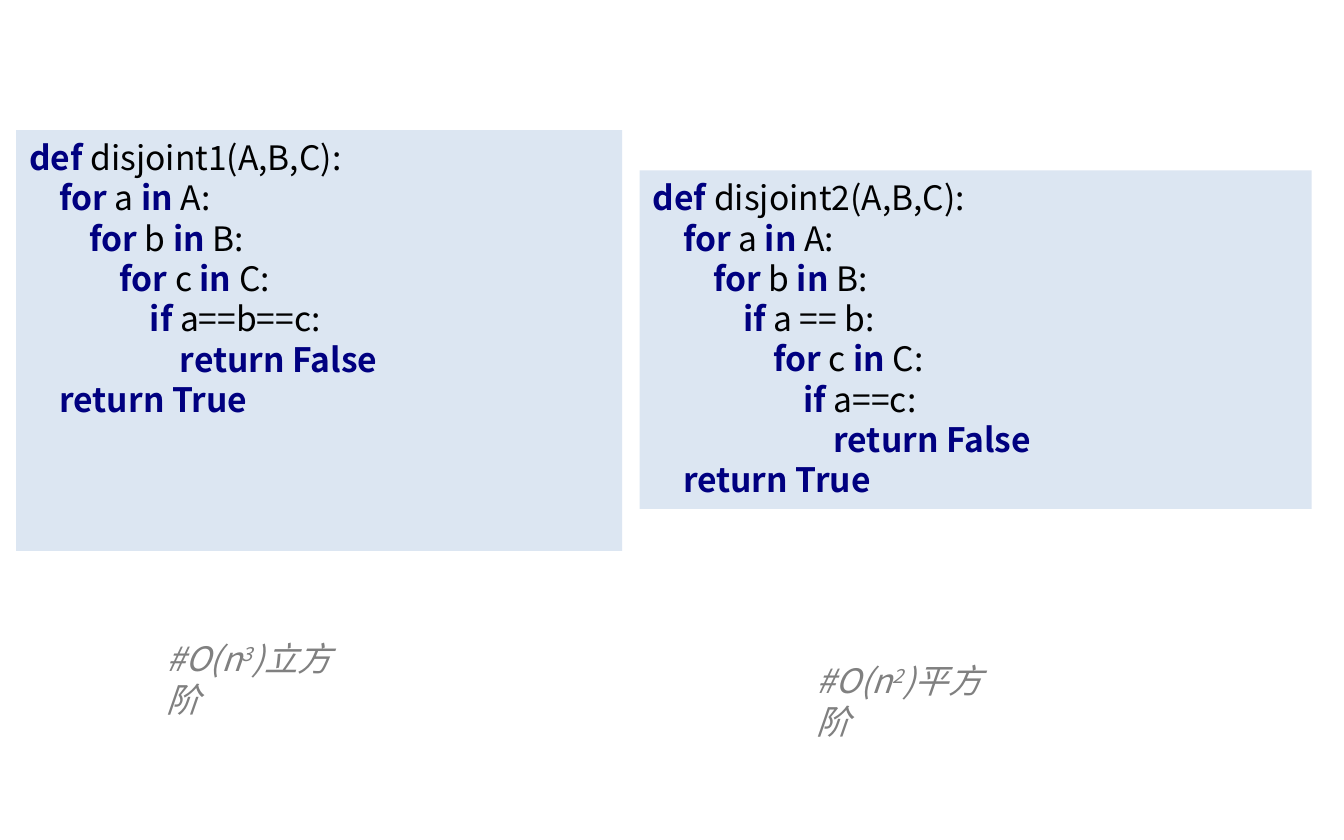
from dataclasses import dataclass
from itertools import groupby

from pptx import Presentation
from pptx.dml.color import RGBColor
from pptx.enum.shapes import MSO_SHAPE
from pptx.enum.text import MSO_ANCHOR, PP_ALIGN
from pptx.slide import Slide
from pptx.text.text import TextFrame, _Paragraph, _Run
from pptx.util import Inches, Pt

RECT = MSO_SHAPE.RECTANGLE
TOP = MSO_ANCHOR.TOP
LEFT = PP_ALIGN.LEFT
WIDE, HIGH = Inches(10), Inches(6.25)
KEYS = {"def", "for", "in", "if", "return", "True", "False"}


@dataclass(frozen=True)
class Theme:
    panel: RGBColor = RGBColor(0xDC, 0xE6, 0xF2)
    key: RGBColor = RGBColor(0x00, 0x00, 0x80)
    plain: RGBColor = RGBColor(0x00, 0x00, 0x00)
    note: RGBColor = RGBColor(0x80, 0x80, 0x80)
    code: str = "Noto Sans CJK SC"
    word: str = "Calibri"
    size: Pt = Pt(18)


@dataclass(frozen=True)
class Box:
    left: float
    top: float
    wide: float
    high: float

    def place(self) -> tuple[int, int, int, int]:
        return (int(WIDE * self.left / 100), int(HIGH * self.top / 100),
                int(WIDE * self.wide / 100), int(HIGH * self.high / 100))


@dataclass(frozen=True)
class Panel:
    box: Box
    code: str


@dataclass(frozen=True)
class Note:
    box: Box
    power: str
    order: str


THEME = Theme()

PANELS = (
    Panel(Box(1.2, 15.5, 45.1, 50.1), """\
def disjoint1(A,B,C):
    for a in A:
        for b in B:
            for c in C:
                if a==b==c:
                    return False
    return True"""),
    Panel(Box(47.6, 20.3, 50, 40.3), """\
def disjoint2(A,B,C):
    for a in A:
        for b in B:
            if a == b:
                for c in C:
                    if a==c:
                        return False
    return True"""),
)

NOTES = (
    Note(Box(59.8, 77.8, 16.7, 6.4), "2", "平方阶"),
    Note(Box(11.4, 75.2, 16.7, 6.4), "3", "立方阶"),
)


def add_run(para: _Paragraph, text: str, color: RGBColor,
            face: str = THEME.code) -> _Run:
    run = para.add_run()
    run.text = text
    run.font.size = THEME.size
    run.font.name = face
    run.font.color.rgb = color
    return run


def set_frame(frame: TextFrame) -> _Paragraph:
    frame.word_wrap = True
    frame.vertical_anchor = TOP
    para = frame.paragraphs[0]
    para.alignment = LEFT
    return para


def add_line(para: _Paragraph, line: str) -> None:
    body = line.lstrip()
    if body != line:
        add_run(para, line[:-len(body)], THEME.plain)
    words = [word + " " for word in body.split()]
    words[-1] = words[-1].rstrip()
    for bold, group in groupby(words, lambda word: word.strip() in KEYS):
        color = THEME.key if bold else THEME.plain
        add_run(para, "".join(group), color).font.bold = bold


def add_panel(slide: Slide, panel: Panel) -> None:
    shape = slide.shapes.add_shape(RECT, *panel.box.place())
    shape.shadow.inherit = False
    shape.fill.solid()
    shape.fill.fore_color.rgb = THEME.panel
    shape.line.fill.background()
    para = set_frame(shape.text_frame)
    for row, line in enumerate(panel.code.splitlines()):
        if row:
            para.add_line_break()
        add_line(para, line)


def add_note(slide: Slide, note: Note) -> None:
    para = set_frame(slide.shapes.add_textbox(*note.box.place()).text_frame)
    parts = (("#O(n", THEME.code), (note.power, THEME.code),
             (")", THEME.code), (note.order, THEME.word))
    for text, face in parts:
        run = add_run(para, text, THEME.note, face)
        run.font.italic = True
        if text == note.power:
            run._r.get_or_add_rPr().set("baseline", "30000")


def main() -> None:
    deck = Presentation()
    deck.slide_width, deck.slide_height = WIDE, HIGH
    slide = deck.slides.add_slide(deck.slide_layouts[6])
    for panel in PANELS:
        add_panel(slide, panel)
    for note in NOTES:
        add_note(slide, note)
    deck.save("out.pptx")


if __name__ == "__main__":
    main()
